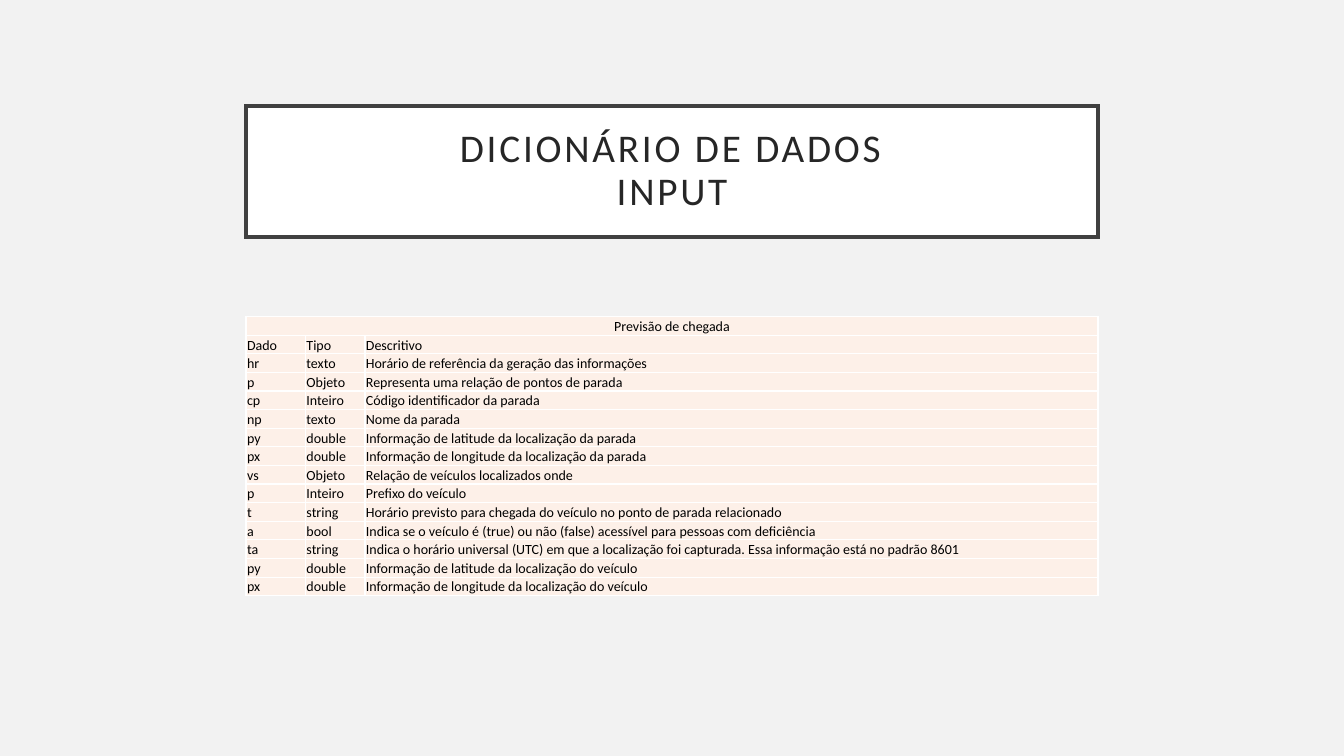
from lxml.etree import SubElement
from pptx import Presentation
from pptx.dml.color import RGBColor
from pptx.enum.shapes import MSO_SHAPE as Shape
from pptx.enum.text import MSO_ANCHOR as Anchor, PP_ALIGN as Align
from pptx.oxml.ns import qn
from pptx.util import Inches, Pt


def paint(fill, color):
    fill.solid()
    fill.fore_color.rgb = RGBColor.from_string(color)


def add_run(paragraph, text, size, color):
    run = paragraph.add_run()
    run.text = text
    run.font.name = "Calibri"
    run.font.size = Pt(size)
    paint(run.font.fill, color)
    return run


presentation = Presentation()
presentation.slide_width = Inches(13.33)
presentation.slide_height = Inches(7.5)
slide = presentation.slides.add_slide(presentation.slide_layouts[6])
paint(slide.background.fill, "F2F2F2")

left, width = 2.44, 8.45

title = slide.shapes.add_shape(
    Shape.RECTANGLE, Inches(left), Inches(1.05), Inches(width), Inches(1.3))
title.shadow.inherit = False
paint(title.fill, "FFFFFF")
paint(title.line.fill, "404040")
title.line.width = Pt(2.5)
outline = title._element.spPr.find(qn("a:ln"))
SubElement(outline, qn("a:miter"), lim="800000")
frame = title.text_frame
frame.word_wrap = True
frame.vertical_anchor = Anchor.MIDDLE
frame.margin_left = frame.margin_right = Inches(0.2)
frame.margin_top = frame.margin_bottom = Inches(0.2)
paragraph = frame.paragraphs[0]
paragraph.alignment = Align.CENTER
paragraph.line_spacing = 0.9
for index, line in enumerate(["DICIONÁRIO DE DADOS", "INPUT"]):
    if index:
        paragraph.add_line_break()
    run = add_run(paragraph, line, 28, "262626")
    run.font._element.set("spc", "200")

rows = [
    ("Previsão de chegada",),
    ("Dado", "Tipo", "Descritivo"),
    ("hr", "texto", "Horário de referência da geração das informações"),
    ("p", "Objeto", "Representa uma relação de pontos de parada"),
    ("cp", "Inteiro", "Código identificador da parada"),
    ("np", "texto", "Nome da parada"),
    ("py", "double", "Informação de latitude da localização da parada"),
    ("px", "double", "Informação de longitude da localização da parada"),
    ("vs", "Objeto", "Relação de veículos localizados onde"),
    ("p", "Inteiro", "Prefixo do veículo"),
    ("t", "string", "Horário previsto para chegada do veículo no ponto de parada relacionado"),
    ("a", "bool", "Indica se o veículo é (true) ou não (false) acessível para pessoas com deficiência"),
    ("ta", "string", "Indica o horário universal (UTC) em que a localização foi capturada. "
                     "Essa informação está no padrão 8601"),
    ("py", "double", "Informação de latitude da localização do veículo"),
    ("px", "double", "Informação de longitude da localização do veículo"),
]
height = 2.77
table = slide.shapes.add_table(
    len(rows), 3, Inches(left), Inches(3.14), Inches(width), Inches(height)).table
table.first_row = False
table.horz_banding = False
for column, column_width in zip(table.columns, [0.59, 0.59, 7.27]):
    column.width = Inches(column_width)
table.cell(0, 0).merge(table.cell(0, 2))

for row, texts in zip(table.rows, rows):
    row.height = Inches(height / len(rows))
    for cell in row.cells:
        cell.vertical_anchor = Anchor.BOTTOM
        cell.margin_left = cell.margin_right = cell.margin_top = Inches(0.01)
        cell.margin_bottom = Inches(0)
        properties = cell._tc.get_or_add_tcPr()
        for side in ["a:lnL", "a:lnR", "a:lnT", "a:lnB"]:
            border = SubElement(properties, qn(side), w=str(Pt(1)))
            border_fill = SubElement(border, qn("a:solidFill"))
            SubElement(border_fill, qn("a:srgbClr"), val="FFFFFF")
        paint(cell.fill, "FDF0E8")
    for cell, text in zip(row.cells, texts):
        paragraph = cell.text_frame.paragraphs[0]
        paragraph.alignment = Align.CENTER if cell.is_merge_origin else Align.LEFT
        add_run(paragraph, text, 10, "000000")

presentation.save("out.pptx")
